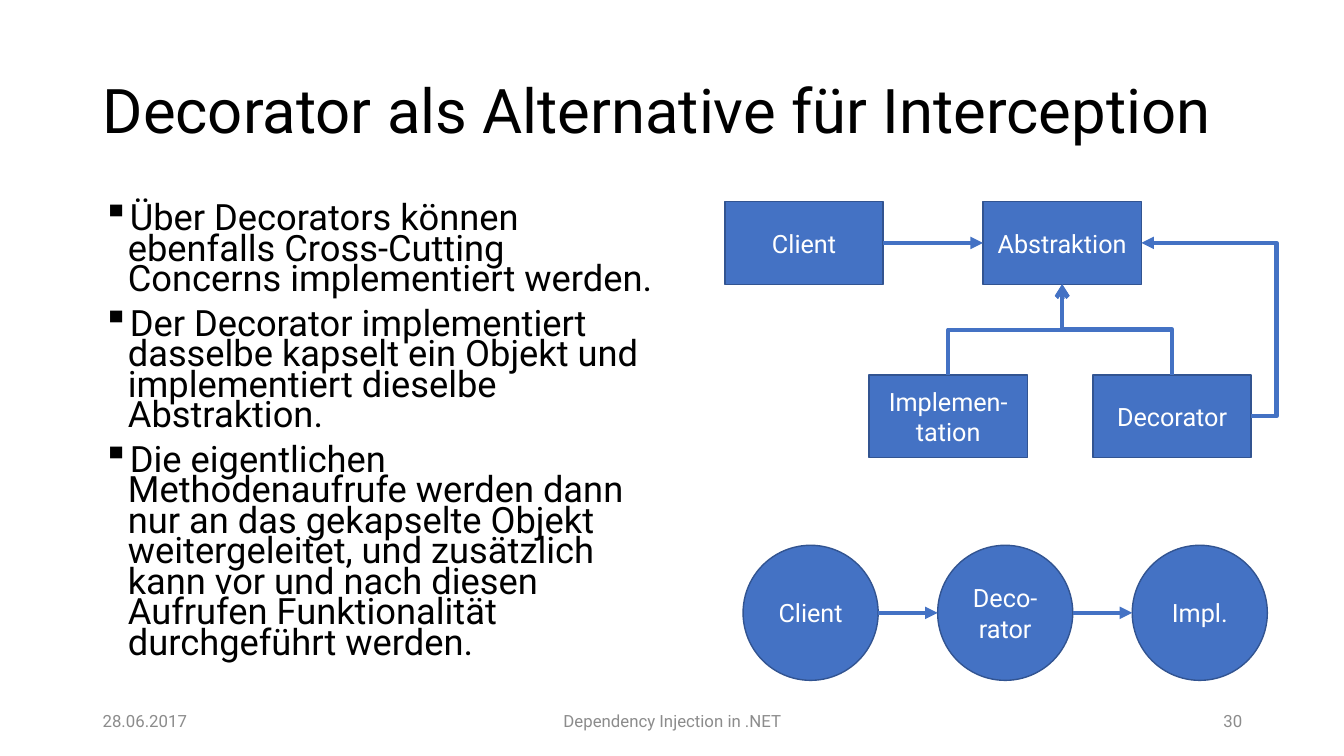
from lxml import etree
from pptx import Presentation
from pptx import util as u
from pptx.dml.color import RGBColor
from pptx.enum import shapes, text
from pptx.oxml.ns import qn

COLORS = {"ink": "000000", "muted": "8C8C8C", "fill": "4472C4", "edge": "325491", "label": "FFFFFF"}
FONT = "Roboto"
BULLETS = [
    "Über Decorators können ebenfalls Cross-Cutting Concerns implementiert werden.",
    "Der Decorator implementiert dasselbe kapselt ein Objekt und implementiert dieselbe Abstraktion.",
    "Die eigentlichen Methodenaufrufe werden dann nur an das gekapselte Objekt weitergeleitet, "
    "und zusätzlich kann vor und nach diesen Aufrufen Funktionalität durchgeführt werden.",
]


def rgb(name):
    """Return the named colour."""
    return RGBColor.from_string(COLORS[name])


def inches(*values):
    """Convert numbers to lengths."""
    return [u.Inches(v) for v in values]


def style(p, size, color, align=text.PP_ALIGN.LEFT):
    """Format a paragraph and its runs."""
    p.alignment = align
    for r in p.runs:
        r.font.name, r.font.size = FONT, u.Pt(size)
        r.font.color.rgb = rgb(color)


def add_text(s, box, content, size, color, align=text.PP_ALIGN.LEFT):
    """Add a middle-anchored line of text."""
    tf = s.shapes.add_textbox(*inches(*box)).text_frame
    tf.word_wrap = True
    tf.vertical_anchor = text.MSO_ANCHOR.MIDDLE
    tf.text = content
    style(tf.paragraphs[0], size, color, align)
    return tf


def add_bullets(s, box, items):
    """Add the bulleted body text."""
    tf = s.shapes.add_textbox(*inches(*box)).text_frame
    tf.word_wrap = True
    for i, item in enumerate(items):
        p = tf.paragraphs[0] if i == 0 else tf.add_paragraph()
        p.text = item
        p.line_spacing = 0.7
        if i:
            p.space_before = u.Pt(10)
        pPr = p._p.get_or_add_pPr()
        pPr.set("marL", str(u.Inches(0.25)))
        pPr.set("indent", str(u.Inches(-0.25)))
        etree.SubElement(pPr, qn("a:buChar")).set("char", "▪")
        style(p, 25.9, "ink")


def add_node(s, kind, box, label):
    """Add a labelled diagram node."""
    sp = s.shapes.add_shape(kind, *inches(*box))
    sp.shadow.inherit = False
    sp.fill.solid()
    sp.fill.fore_color.rgb = rgb("fill")
    sp.line.color.rgb = rgb("edge")
    sp.line.width = u.Pt(1)
    tf = sp.text_frame
    tf.word_wrap = True
    tf.vertical_anchor = text.MSO_ANCHOR.MIDDLE
    tf.text = label
    style(tf.paragraphs[0], 18, "label", text.PP_ALIGN.CENTER)


def add_arrow(s, start, end, kind=shapes.MSO_CONNECTOR.STRAIGHT, head="triangle"):
    """Add a connector with an arrowhead at its end."""
    c = s.shapes.add_connector(kind, *inches(*start, *end))
    c.line.color.rgb = rgb("fill")
    c.line.width = u.Pt(3)
    etree.SubElement(c.line._get_or_add_ln(), qn("a:tailEnd")).set("type", head)
    etree.SubElement(c._element.spPr, qn("a:effectLst"))
    return c


def add_rising_elbow(s, start, end):
    """Add an elbow that leaves and arrives vertically."""
    cx, cy = (start[0] + end[0]) / 2, (start[1] + end[1]) / 2
    dx, dy = start[0] - cx, start[1] - cy
    c = add_arrow(s, (cx - dy, cy + dx), (cx + dy, cy - dx), shapes.MSO_CONNECTOR.ELBOW, "arrow")
    c._element.spPr.find(qn("a:xfrm")).set("rot", str(270 * 60000))


def add_side_elbow(s, start, end, reach):
    """Add an elbow that swings out to the right by reach."""
    c = add_arrow(s, start, end, shapes.MSO_CONNECTOR.ELBOW)
    geom = c._element.spPr.find(qn("a:prstGeom"))
    av = geom.find(qn("a:avLst"))
    if av is None:
        av = etree.SubElement(geom, qn("a:avLst"))
    gd = etree.SubElement(av, qn("a:gd"))
    gd.set("name", "adj1")
    gd.set("fmla", f"val {round(-100000 * reach / (start[0] - end[0]))}")


def class_diagram(s, x, y):
    """Draw the class structure from its top left corner."""
    w, h, drop = 1.57, 0.82, 1.72
    left, right = x + 2.56, x + 2.56 + w
    mid = y + h / 2
    rect = shapes.MSO_SHAPE.RECTANGLE
    add_node(s, rect, (x, y, w, h), "Client")
    add_node(s, rect, (left, y, w, h), "Abstraktion")
    for dx, label in ((1.43, "Implemen-tation"), (3.65, "Decorator")):
        add_node(s, rect, (x + dx, y + drop, w, h), label)
        add_rising_elbow(s, (x + dx + w / 2, y + drop), (left + w / 2, y + h))
    add_arrow(s, (x + w, mid), (left, mid))
    add_side_elbow(s, (x + 3.65 + w, mid + drop), (right, mid), 0.25)


def call_chain(s, x, y):
    """Draw the chain of calls from its top left corner."""
    d, step = 1.34, 1.93
    for i, label in enumerate(("Client", "Deco-rator", "Impl.")):
        left = x + i * step
        add_node(s, shapes.MSO_SHAPE.OVAL, (left, y, d, d), label)
        if i:
            add_arrow(s, (left - step + d, y + d / 2), (left, y + d / 2))


def footer(s, y):
    """Add date, title and page number."""
    align = text.PP_ALIGN
    for x, w, content, side in (
        (0.92, 3, "28.06.2017", align.LEFT),
        (4.42, 4.5, "Dependency Injection in .NET", align.CENTER),
        (9.42, 3, "30", align.RIGHT),
    ):
        add_text(s, (x, y, w, 0.4), content, 12, "muted", side)


def main():
    """Build and save the slide."""
    prs = Presentation()
    prs.slide_width, prs.slide_height = inches(13.33, 7.5)
    s = prs.slides.add_slide(prs.slide_layouts[6])
    title = add_text(s, (0.92, 0.4, 11.5, 1.45), "Decorator als Alternative für Interception", 44, "ink")
    title.paragraphs[0].line_spacing = 0.9
    add_bullets(s, (0.92, 2, 5.67, 4.76), BULLETS)
    footer(s, 6.95)
    class_diagram(s, 7.19, 2)
    call_chain(s, 7.37, 5.41)
    prs.save("out.pptx")


if __name__ == "__main__":
    main()
